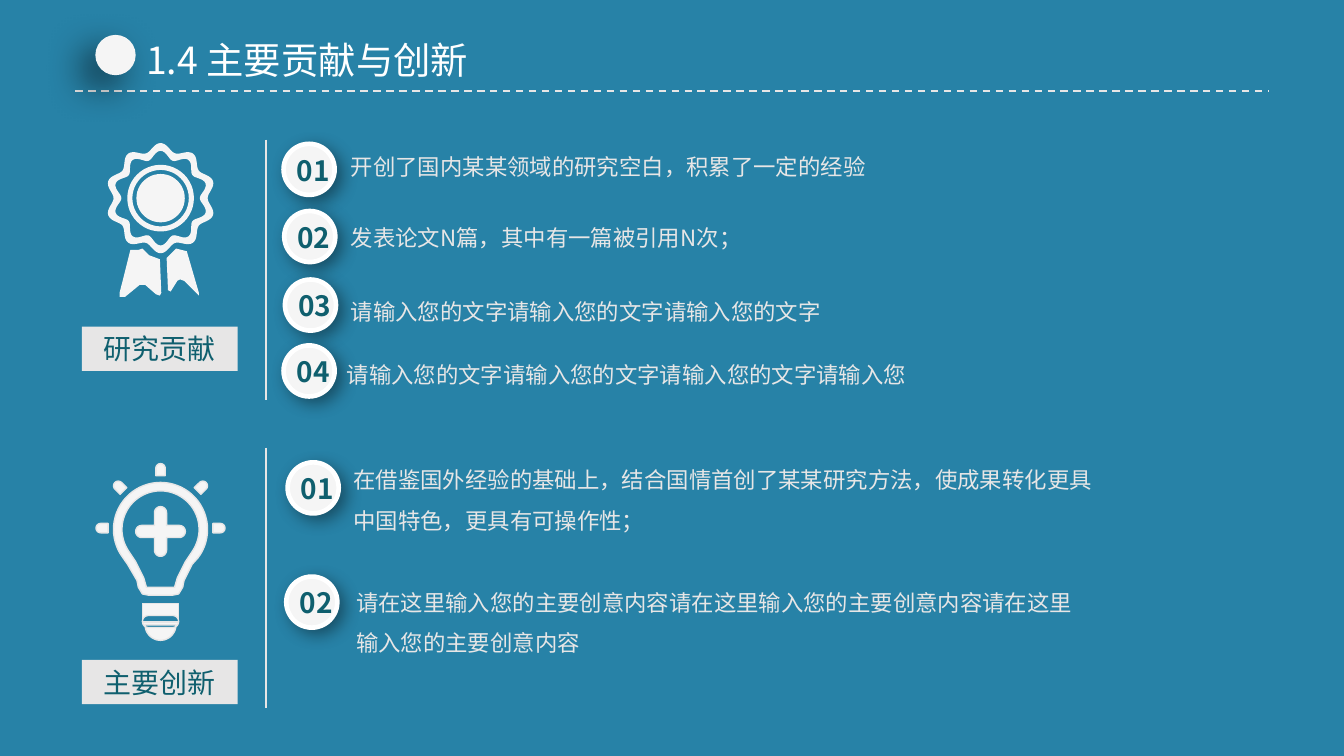
from math import cos, pi, sin

from pptx import Presentation
from pptx.dml.color import RGBColor
from pptx.enum.dml import MSO_LINE
from pptx.enum.shapes import MSO_CONNECTOR, MSO_SHAPE
from pptx.enum.text import MSO_ANCHOR, PP_ALIGN
from pptx.oxml.ns import qn
from pptx.util import Inches, Pt
from lxml.etree import SubElement

COLORS = {"bg": "2782A7", "pale": "F5F5F5", "gray": "E7E6E6", "white": "FFFFFF",
          "teal": "0F5F6E", "shadow": "000000"}
FONT = "Noto Sans CJK SC"
TITLE = {"size": Pt(20), "bold": False}
LABEL = {"size": Pt(15), "bold": False}
NUMBER = {"size": Pt(15), "bold": True}
BODY = {"size": Pt(12), "bold": False}
WIDE, NARROW = (1, 0.5), (0.7, 0.4)  # horizontal and vertical text insets

# The grid has 100 columns and 56.25 rows of square cells
CELL = Inches(0.1)
COLS, ROWS = 100, 56.25
ICON_X = 11.95

# Badge column, badge row, number, text column, text row, width, height, text
ITEMS = [
    (21.1, 10.7, "01", 25.4, 10, 45.5, 3.8, "开创了国内某某领域的研究空白，积累了一定的经验"),
    (21.15, 15.7, "02", 25.4, 15.3, 45.5, 3.8, "发表论文N篇，其中有一篇被引用N次；"),
    (21.2, 20.8, "03", 25.4, 20.8, 45.5, 3.8, "请输入您的文字请输入您的文字请输入您的文字"),
    (21.1, 25.7, "04", 25.1, 25.5, 45.5, 3.8,
     "请输入您的文字请输入您的文字请输入您的文字请输入您"),
    (21.4, 34.4, "01", 25.6, 33.3, 57.7, 6.8,
     "在借鉴国外经验的基础上，结合国情首创了某某研究方法，使成果转化更具中国特色，更具有可操作性；"),
    (21.3, 42.9, "02", 25.8, 42.4, 55.6, 6.8,
     "请在这里输入您的主要创意内容请在这里输入您的主要创意内容请在这里输入您的主要创意内容"),
]


def rgb(name):
    return RGBColor.from_string(COLORS[name])


def grid(*cells):
    return [round(c * CELL) for c in cells]


def paint(sp, fill, line=None, width=0):
    sp.shadow.inherit = False
    sp.fill.solid()
    sp.fill.fore_color.rgb = rgb(fill)
    if line:
        sp.line.color.rgb = rgb(line)
        sp.line.width = Pt(width)
    else:
        sp.line.fill.background()


def add_shadow(sp, alpha, blur, dist, angle):
    effects = sp._element.spPr.find(qn("a:effectLst"))
    shadow = SubElement(effects, qn("a:outerShdw"), blurRad=str(Pt(blur)), dist=str(Pt(dist)),
                        dir=str(angle * 60000), algn="ctr", rotWithShape="0")
    color = SubElement(shadow, qn("a:srgbClr"), val=COLORS["shadow"])
    SubElement(color, qn("a:alpha"), val=str(alpha * 1000))


def write(sp, text, style, color, insets=NARROW, align=PP_ALIGN.LEFT, spacing=1.0,
          anchor=MSO_ANCHOR.TOP):
    tf = sp.text_frame
    side, edge = grid(*insets)
    frame = {"word_wrap": True, "vertical_anchor": anchor, "margin_left": side,
             "margin_right": side, "margin_top": edge, "margin_bottom": edge}
    for name, value in frame.items():
        setattr(tf, name, value)
    p = tf.paragraphs[0]
    p.alignment, p.line_spacing = align, spacing
    r = p.add_run()
    r.text = text
    for name, value in {"name": FONT, **style}.items():
        setattr(r.font, name, value)
    r.font.color.rgb = rgb(color)
    SubElement(r._r.get_or_add_rPr(), qn("a:ea"), typeface=FONT)


def add_text(shapes, box, *args, **kwargs):
    write(shapes.add_textbox(*grid(*box)), *args, **kwargs)


def add_rule(shapes, x1, y1, x2, y2, width, dash=None):
    ln = shapes.add_connector(MSO_CONNECTOR.STRAIGHT, *grid(x1, y1, x2, y2))
    ln.line.color.rgb = rgb("gray")
    ln.line.width = Pt(width)
    if dash:
        ln.line.dash_style = dash
    SubElement(ln._element.spPr, qn("a:effectLst"))


def add_label(shapes, row, text):
    sp = shapes.add_shape(MSO_SHAPE.RECTANGLE, *grid(6.1, row, 11.6, 3.3))
    paint(sp, "gray")
    write(sp, text, LABEL, "teal", align=PP_ALIGN.CENTER, anchor=MSO_ANCHOR.MIDDLE)


def add_badge(shapes, x, y, number):
    group = shapes.add_group_shape().shapes
    sp = group.add_shape(MSO_SHAPE.OVAL, *grid(x, y, 3.8, 3.8))
    paint(sp, "pale", "white", 2.5)
    add_shadow(sp, 40, 9, 4, 45)
    add_text(group, (x, y + 0.2, 4.9, 3.5), number, NUMBER, "teal", WIDE)


def add_icon(shapes, contours, line=None, width=0):
    first, *others = [[tuple(grid(*pt)) for pt in c] for c in contours]
    fb = shapes.build_freeform(*first[0])
    fb.add_line_segments(first[1:])
    for contour in others:
        fb.move_to(*contour[0])
        fb.add_line_segments(contour[1:])
    paint(fb.convert_to_shape(), "pale", line, width)


def arc(cx, cy, radius, start=0, end=360, steps=48, wave=0):
    """Points clockwise in degrees; wave gives a ten-lobed edge."""
    points = []
    for i in range(steps + 1):
        a = (start + (end - start) * i / steps) * pi / 180
        r = radius - wave * cos(10 * (a - pi / 2))
        r = radius + wave * cos(10 * (a + pi / 2)) if wave else r
        points.append((cx + r * cos(a), cy + r * sin(a)))
    return points


def ray(cx, cy, angle, inner, outer, half):
    a = angle * pi / 180
    dx, dy = cos(a), sin(a)
    base = [(cx + inner * dx + s * half * dy, cy + inner * dy - s * half * dx) for s in (-1, 1)]
    tip = outer - half
    return base + arc(cx + tip * dx, cy + tip * dy, half, angle - 90, angle + 90, 12)


def add_medal(shapes):
    cy = 14.75
    rosette = [arc(ICON_X, cy, 3.8, steps=160, wave=0.3),
               arc(ICON_X, cy, 3.22, steps=160, wave=0.3)]
    rings = [arc(ICON_X, cy, r) for r in (2.48, 2.1, 1.8)]
    ribbons = [
        [(9.7, 18.6), (10.3, 18.6), (10.6, 18.5), (11.1, 19), (11.9, 19.3), (12, 21.8),
         (11.9, 22), (11.6, 21.9), (10.8, 21.2), (10.4, 21.2), (9.3, 22.1), (8.9, 22.1), (8.9, 21.8)],
        [(12.4, 19.2), (12.9, 18.7), (13.1, 18.5), (13.9, 18.7), (14.8, 21.8), (14.8, 22),
         (14.7, 21.9), (13.7, 20.9), (13.4, 20.8), (13.2, 20.9), (12.7, 21.7), (12.5, 21.6)],
    ]
    add_icon(shapes, rosette + rings + ribbons)


def add_bulb(shapes):
    cy = 39.4
    rays = [ray(ICON_X, 39.3, a, 3.9, 4.8, 0.35) for a in range(180, 361, 45)]
    plus = []
    for a in range(0, 360, 90):
        plus += ray(ICON_X, 39.55, a, 0.45, 1.85, 0.45)[1:]
    glass = [
        arc(ICON_X, cy, 3.5, 143, 397) + [(14.3, 42), (13.7, 43.2), (13.6, 43.7), (13.3, 44.2),
        (12.8, 44.3), (11.1, 44.3), (10.6, 44.2), (10.3, 43.7), (10.2, 43.2), (9.5, 42)],
        arc(ICON_X, cy, 2.87, 145, 395) + [(13.8, 41.8), (13.2, 43), (13, 43.7),
        (10.9, 43.7), (10.7, 43), (10.1, 41.8)],
    ]
    base = [
        [(10.6, 44.9), (13.3, 44.9), (13.3, 46.3), (10.6, 46.3)],
        arc(11.05, 46.25, 0.45, 90, 270, 12) + arc(12.85, 46.25, 0.45, -90, 90, 12),
        arc(ICON_X, 46.5, 1.15, 0, 180, 24),
    ]
    outlines = rays + [plus] + glass + base
    add_icon(shapes, [c + c[:1] for c in outlines], "gray", 0.75)


def main():
    prs = Presentation()
    prs.slide_width, prs.slide_height = grid(COLS, ROWS)
    s = prs.slides.add_slide(prs.slide_layouts[6])
    s.background.fill.solid()
    s.background.fill.fore_color.rgb = rgb("bg")

    # Heading
    add_rule(s.shapes, 5.6, 6.8, 94.4, 6.8, 1, MSO_LINE.DASH)
    dot = s.shapes.add_shape(MSO_SHAPE.OVAL, *grid(7.1, 2.6, 3, 3))
    paint(dot, "pale")
    add_shadow(dot, 60, 20, 10, 135)
    add_text(s.shapes, (9.9, 2.3, 30, 4.4), "1.4 主要贡献与创新", TITLE, "white", WIDE)

    # Section icons, labels and dividers
    add_medal(s.shapes)
    add_bulb(s.shapes)
    for label_row, rule_row, text in ((24.3, 10.4, "研究贡献"), (49.1, 33.3, "主要创新")):
        add_label(s.shapes, label_row, text)
        add_rule(s.shapes, 19.8, rule_row, 19.8, rule_row + 19.4, 0.75)

    # Numbered items
    for x, y, number, left, top, width, height, text in ITEMS:
        add_badge(s.shapes, x, y, number)
        add_text(s.shapes, (left, top, width, height), text, BODY, "gray", spacing=1.5)

    prs.save("out.pptx")


if __name__ == "__main__":
    main()
